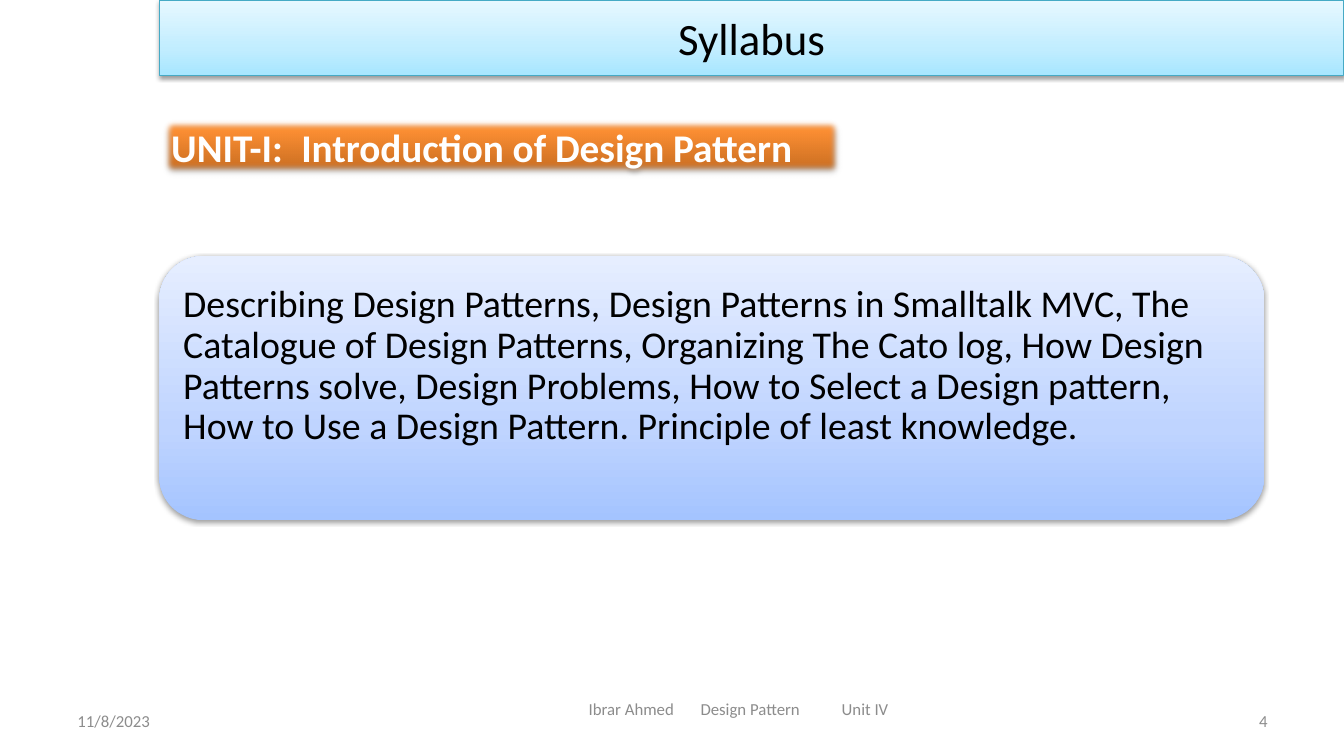
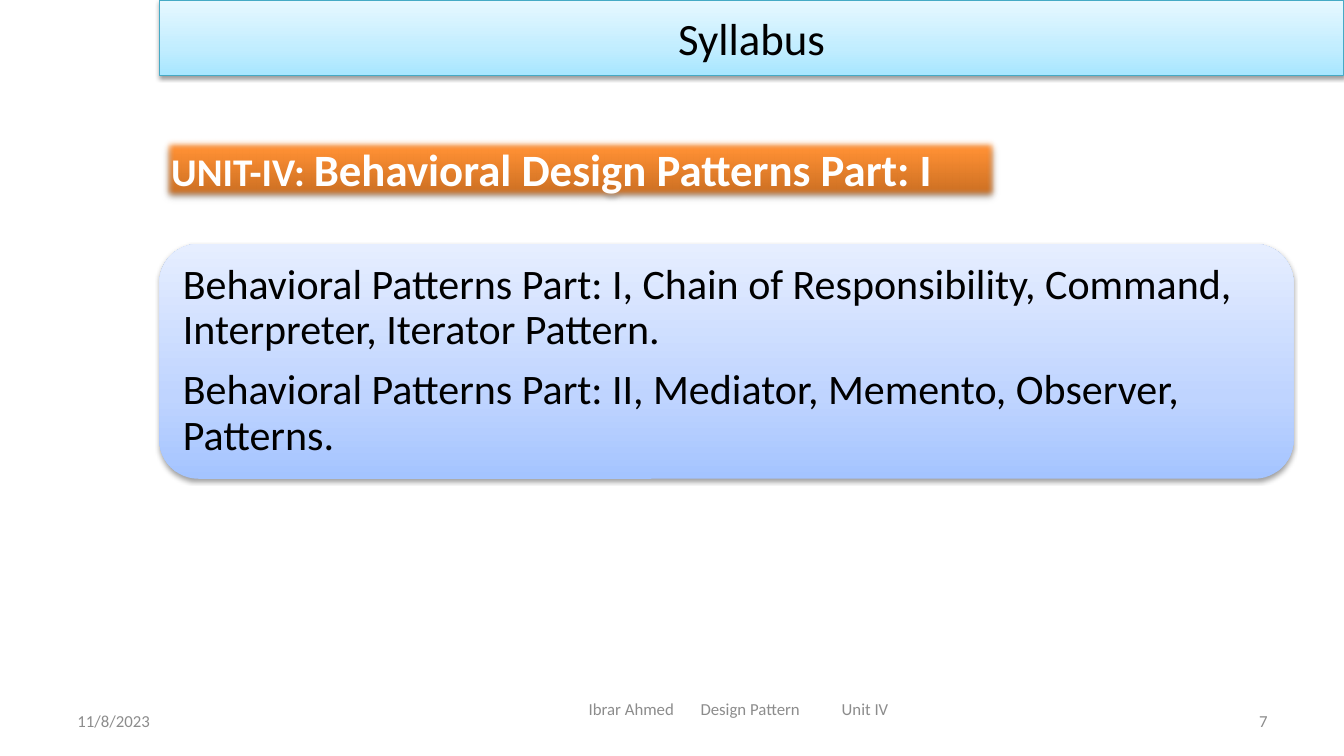
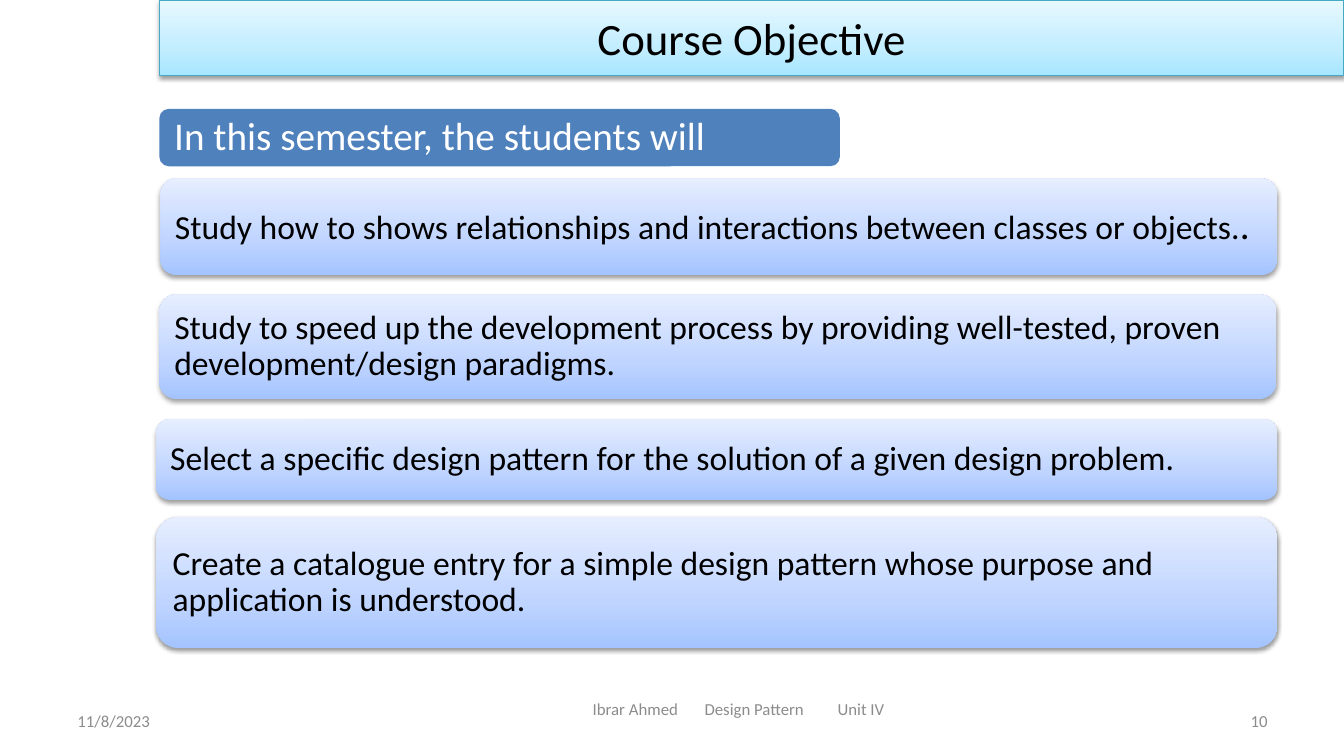
from dataclasses import dataclass
from lxml import etree
from pptx import Presentation
from pptx import util as u
from pptx.dml.color import RGBColor
from pptx.enum import shapes, text
from pptx.oxml import ns

PX = 9144  # EMU per px, 100 px to the inch
FONT = "Calibri"
COLORS = {
    "text": "000000", "white": "FFFFFF", "footer": "8C8C8C",
    "title_line": "46AAC5", "heading": "4F81BD", "shadow": "000000",
}
# Gradients run from bottom to top: (percent, colour)
GRADIENTS = {
    "title": ((0, "A7E6FF"), (35, "C1EDFF"), (100, "E7F8FF")),
    "unit": ((0, "C2691F"), (80, "FF9034"), (100, "FF9136")),
    "panel": ((0, "A4C4FF"), (35, "BFD4FF"), (100, "E6EEFF")),
}
RECT = shapes.MSO_SHAPE.RECTANGLE
ROUND = shapes.MSO_SHAPE.ROUNDED_RECTANGLE
LEFT, CENTER, RIGHT = (text.PP_ALIGN.LEFT, text.PP_ALIGN.CENTER,
                       text.PP_ALIGN.RIGHT)
TOP, MIDDLE = text.MSO_ANCHOR.TOP, text.MSO_ANCHOR.MIDDLE


@dataclass(frozen=True)
class Run:
    words: str
    size: int
    color: str = "text"
    bold: bool = False


@dataclass(frozen=True)
class Words:
    paragraphs: tuple[tuple[Run, ...], ...]
    align: text.PP_ALIGN = LEFT
    anchor: text.MSO_ANCHOR = MIDDLE
    inset: tuple[int, int, int, int] = (10, 5, 10, 5)
    tight: bool = False
    tabs: tuple[int, ...] = ()


@dataclass(frozen=True)
class Box:
    at: tuple[int, int, int, int]
    words: Words
    kind: shapes.MSO_SHAPE = ROUND
    fill: str = "panel"
    line: str = ""
    shadow: tuple[int, int] = (38, 20000)  # opacity percent, distance EMU
    soft_edge: int = 0


@dataclass(frozen=True)
class Page:
    title: str
    number: int
    boxes: tuple[Box, ...]
    unit_tab: int = 251


def px(*lengths: int) -> list[u.Emu]:
    return [u.Emu(n * PX) for n in lengths]


def child(parent, tag: str, **attrs):
    el = etree.SubElement(parent, ns.qn(tag))
    for name, value in attrs.items():
        el.set(name, str(value))
    return el


def write(tf, words: Words) -> None:
    tf.word_wrap = True
    tf.vertical_anchor = words.anchor
    (tf.margin_left, tf.margin_top,
     tf.margin_right, tf.margin_bottom) = px(*words.inset)
    for i, runs in enumerate(words.paragraphs):
        p = tf.add_paragraph() if i else tf.paragraphs[0]
        p.alignment = words.align
        if words.tight:
            p.line_spacing = 0.9
            p.space_after = u.Pt(runs[0].size * 0.35)
        if words.tabs:
            tab_list = child(p._p.get_or_add_pPr(), "a:tabLst")
            for stop in words.tabs:
                child(tab_list, "a:tab", pos=stop * PX, algn="l")
        for run in runs:
            r = p.add_run()
            r.text = run.words
            r.font.name, r.font.size = FONT, u.Pt(run.size)
            r.font.bold = run.bold
            r.font.color.rgb = RGBColor.from_string(COLORS[run.color])


def add_gradient(sp, stops: tuple[tuple[int, str], ...]) -> None:
    sp.fill.background()
    props = sp.element.spPr
    grad = etree.Element(ns.qn("a:gradFill"), rotWithShape="1")
    stop_list = child(grad, "a:gsLst")
    for percent, color in stops:
        child(child(stop_list, "a:gs", pos=percent * 1000),
              "a:srgbClr", val=color)
    child(grad, "a:lin", ang=270 * 60000, scaled=0)
    props.replace(props.find(ns.qn("a:noFill")), grad)


def add_effects(sp, box: Box) -> None:
    effects = sp.element.spPr.find(ns.qn("a:effectLst"))
    opacity, distance = box.shadow
    shadow = child(effects, "a:outerShdw", blurRad=40000, dist=distance,
                   dir=90 * 60000, rotWithShape=0)
    color = child(shadow, "a:srgbClr", val=COLORS["shadow"])
    child(color, "a:alpha", val=opacity * 1000)
    if box.soft_edge:
        child(effects, "a:softEdge", rad=box.soft_edge)


def add_box(slide, box: Box) -> None:
    sp = slide.shapes.add_shape(box.kind, *px(*box.at))
    sp.shadow.inherit = False
    if box.line:
        sp.line.color.rgb = RGBColor.from_string(COLORS[box.line])
        sp.line.width = u.Pt(0.75)
    else:
        sp.line.fill.background()
    if box.fill in GRADIENTS:
        add_gradient(sp, GRADIENTS[box.fill])
        add_effects(sp, box)
    else:
        sp.fill.solid()
        sp.fill.fore_color.rgb = RGBColor.from_string(COLORS[box.fill])
    write(sp.text_frame, box.words)


def add_footer(slide, page: Page) -> None:
    # The middle line stays centred as its last gap changes
    middle_left = 574 + (251 - page.unit_tab) // 2
    parts = (
        ((67, 695, 311, 40), "11/8/2023", LEFT, ()),
        ((middle_left, 683, 350, 40), "Ibrar Ahmed\tDesign Pattern\tUnit IV",
         LEFT, (111, page.unit_tab)),
        ((956, 695, 311, 40), str(page.number), RIGHT, ()),
    )
    for at, label, align, tabs in parts:
        sp = slide.shapes.add_textbox(*px(*at))
        write(sp.text_frame, Words(((Run(label, 12, "footer"),),),
                                   align, tabs=tabs))


def title_band(title: str) -> Box:
    return Box((158, 0, 1175, 75), Words(((Run(title, 32),),), CENTER),
               RECT, "title", "title_line")


def unit_band(top: int, width: int, height: int, *runs: Run,
              tabs: tuple[int, ...] = ()) -> Box:
    return Box((160, top, width, height),
               Words((runs,), anchor=TOP, tabs=tabs),
               RECT, "unit", shadow=(35, 23000), soft_edge=63500)


def panel(at: tuple[int, int, int, int], *paragraphs: tuple[Run, ...],
          inset: int = 10, lift: int = 0, fill: str = "panel") -> Box:
    return Box(at, Words(paragraphs, tight=True,
                         inset=(inset, inset, inset, inset + lift)), fill=fill)


PAGES = (
    Page("Syllabus", 4, (
        unit_band(117, 675, 57,
                  Run("UNIT-I:\tIntroduction of Design Pattern", 28, "white", True),
                  tabs=(129,)),
        panel((158, 254, 1096, 262), (Run(
            "Describing Design Patterns, Design Patterns in Smalltalk MVC, "
            "The Catalogue of Design Patterns, Organizing The Cato log, "
            "How Design Patterns solve, Design Problems, How to Select a "
            "Design pattern, How to Use a Design Pattern. Principle of least "
            "knowledge.", 27),), inset=11, lift=43),
    )),
    Page("Syllabus", 7, (
        unit_band(136, 831, 64, Run("UNIT-IV: ", 28, "white", True),
                  Run("Behavioral Design Patterns Part: I", 32, "white", True)),
        panel((158, 242, 1125, 233),
              (Run("Behavioral Patterns Part: I, Chain of Responsibility, "
                   "Command, Interpreter, Iterator Pattern.", 30),),
              (Run("Behavioral Patterns Part: II, Mediator, Memento, "
                   "Observer, Patterns.", 30),), inset=12),
    )),
    Page("Course Objective", 10, (
        panel((158, 108, 675, 57),
              (Run("In this semester, the students will", 28, "white"),),
              inset=12, fill="heading"),
        panel((159, 177, 1108, 96),
              (Run("Study how to shows relationships and interactions between "
                   "classes or objects.", 24), Run(".", 28))),
        panel((158, 292, 1108, 104),
              (Run("Study to speed up the development process by providing "
                   "well-tested, proven development/design paradigms.", 24),)),
        panel((155, 416, 1112, 80),
              (Run("Select a specific design pattern for the solution of a "
                   "given design problem.", 24),)),
        panel((155, 513, 1112, 130),
              (Run("Create a catalogue entry for a simple design pattern whose "
                   "purpose and application is understood.", 24),)),
    ), unit_tab=243),
)


def main() -> None:
    prs = Presentation()
    prs.slide_width, prs.slide_height = px(1333, 750)
    for page in PAGES:
        slide = prs.slides.add_slide(prs.slide_layouts[6])
        add_footer(slide, page)
        for box in (title_band(page.title), *page.boxes):
            add_box(slide, box)
    prs.save("out.pptx")


if __name__ == "__main__":
    main()
